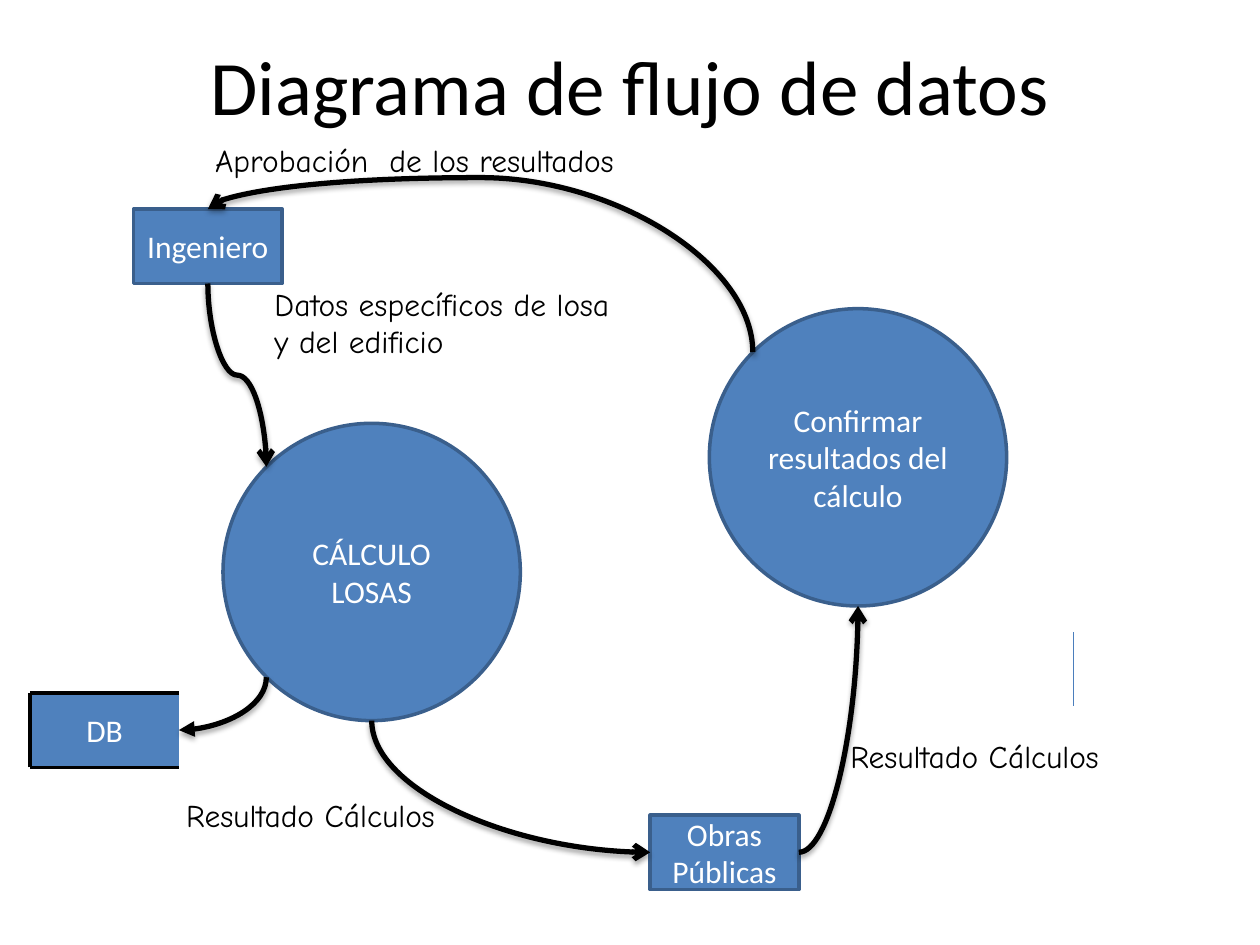
from lxml import etree
from pptx import Presentation, util as u
from pptx.dml.color import RGBColor
from pptx.enum import shapes as sh, text as tx
from pptx.oxml.ns import qn

# Grid of 100 columns by 75 rows; boxes are 2 x 1 modules, circles 4 x 4
CELL = u.Inches(0.1)
MOD = 5.9
DIAG = 0.146  # share of a circle's box where its diagonal meets the rim
BLUE, EDGE, WHITE, BLACK = "4F81BD", "3A5F8C", "FFFFFF", "000000"


def grid(*vals):
    return [round(v * CELL) for v in vals]


def paint(target, color):
    if hasattr(target, "solid"):
        target.solid()
        target = target.fore_color
    target.rgb = RGBColor.from_string(color)


def node(parent, tag, **attrs):
    return etree.SubElement(parent, qn(tag), {k: str(v) for k, v in attrs.items()})


def write(frame, lines, size, font, color, align):
    for i, line in enumerate(lines):
        para = frame.paragraphs[0] if i == 0 else frame.add_paragraph()
        para.alignment = align
        run = para.add_run()
        run.text = line
        run.font.size, run.font.name = u.Pt(size), font
        paint(run.font.color, color)


def block(slide, kind, col, row, size, lines, edge=EDGE):
    """Filled shape with centred white text."""
    wide, high = size
    item = slide.shapes.add_shape(kind, *grid(col, row, wide * MOD, high * MOD))
    item.shadow.inherit = False
    paint(item.fill, BLUE)
    if edge:
        paint(item.line.color, edge)
        item.line.width = u.Pt(2)
    else:
        item.line.fill.background()
    frame = item.text_frame
    frame.word_wrap = True
    frame.vertical_anchor = tx.MSO_ANCHOR.MIDDLE
    write(frame, lines, 18, "Calibri", WHITE, tx.PP_ALIGN.CENTER)
    return item


def label(slide, col, row, wide, high, lines):
    frame = slide.shapes.add_textbox(*grid(col, row, wide, high)).text_frame
    frame.word_wrap = False
    frame.auto_size = tx.MSO_AUTO_SIZE.SHAPE_TO_FIT_TEXT
    write(frame, lines, 18, "Comic Neue", BLACK, tx.PP_ALIGN.LEFT)


def heading(slide, words):
    frame = slide.shapes.add_textbox(*grid(5, 0.5, 90, 12.5)).text_frame
    frame.word_wrap = True
    frame.vertical_anchor = tx.MSO_ANCHOR.MIDDLE
    write(frame, [words], 44, "Calibri", BLACK, tx.PP_ALIGN.CENTER)


def site(item, fx, fy):
    """Point at a share of the item's width and height."""
    return round(item.left + fx * item.width), round(item.top + fy * item.height)


def stroke(slide, kind, start, end, color, width):
    line = slide.shapes.add_connector(kind, *start, *end)
    paint(line.line.color, color)
    line.line.width = u.Pt(width)
    return line, node(line._element.spPr, "a:effectLst")


def curve(slide, start, end, upright=True, bend=None, head="arrow"):
    """Curved arrow: one arc, or an S when bend is given."""
    if upright:  # leaves vertically: lay it out flat, then turn by 270 degrees
        mx, my = (start[0] + end[0]) // 2, (start[1] + end[1]) // 2
        start, end = [(mx - (y - my), my + (x - mx)) for x, y in (start, end)]
    line, effects = stroke(slide, sh.MSO_CONNECTOR.CURVE, start, end, BLACK, 3)
    props = line._element.spPr
    if upright:
        props.find(qn("a:xfrm")).set("rot", str(270 * 60000))
    geom = props.find(qn("a:prstGeom"))
    if bend is None:
        geom.set("prst", "curvedConnector2")
    else:
        node(geom.find(qn("a:avLst")), "a:gd", name="adj1",
             fmla=f"val {round(bend * 100000)}")
    node(props.find(qn("a:ln")), "a:tailEnd", type=head)
    shade = node(effects, "a:outerShdw", blurRad=u.Pt(3.1), dist=u.Pt(1.8),
                 dir=90 * 60000, rotWithShape=0)
    node(node(shade, "a:srgbClr", val=BLACK), "a:alpha", val=35000)


def main():
    deck = Presentation()
    deck.slide_width, deck.slide_height = grid(100, 75)
    slide = deck.slides.add_slide(deck.slide_layouts[6])
    oval, rect = sh.MSO_SHAPE.OVAL, sh.MSO_SHAPE.RECTANGLE

    # Processes and entities
    calc = block(slide, oval, 17.7, 33.6, (4, 4), ["CÁLCULO", "LOSAS"])
    user = block(slide, rect, 10.6, 16.6, (2, 1), ["Ingeniero"])
    works = block(slide, rect, 51.6, 64.7, (2, 1), ["Obras Públicas"])
    check = block(slide, oval, 56.3, 24.5, (4, 4),
                  ["Confirmar resultados del cálculo"])

    # Flows between them
    curve(slide, site(works, 1, 0.5), site(check, 0.5, 1), upright=False)
    curve(slide, site(calc, 0.5, 1), site(works, 0, 0.5))
    curve(slide, site(check, DIAG, DIAG), site(user, 0.5, 0), bend=1.22)
    curve(slide, site(user, 0.5, 1), site(calc, DIAG, DIAG), bend=0.5)

    # Flow labels and title
    label(slide, 20.8, 22.1, 32.5, 7.1,
          ["Datos específicos de losa", "y del edificio"])
    for col, row in ((66.5, 58), (13.8, 62.7)):
        label(slide, col, row, 23.6, 4, ["Resultado Cálculos"])
    label(slide, 16.1, 10.7, 36.7, 4, ["Aprobación  de los resultados"])
    heading(slide, "Diagrama de flujo de datos")

    # Data store, open on its right side
    store = block(slide, rect, 2.4, 55, (2, 1), ["DB"], edge=None)
    straight = sh.MSO_CONNECTOR.STRAIGHT
    for start, end in (((0, 1), (1, 1)), ((0, 0), (1, 0)), ((0, 1), (0, 0))):
        stroke(slide, straight, site(store, *start), site(store, *end), BLACK, 2)
    curve(slide, site(calc, DIAG, 1 - DIAG), site(store, 1, 0.5), head="triangle")

    # Loose thin line
    stroke(slide, straight, grid(85.2, 50.2), grid(85.2, 56), "4B7EBC", 0.75)

    deck.save("out.pptx")


if __name__ == "__main__":
    main()
